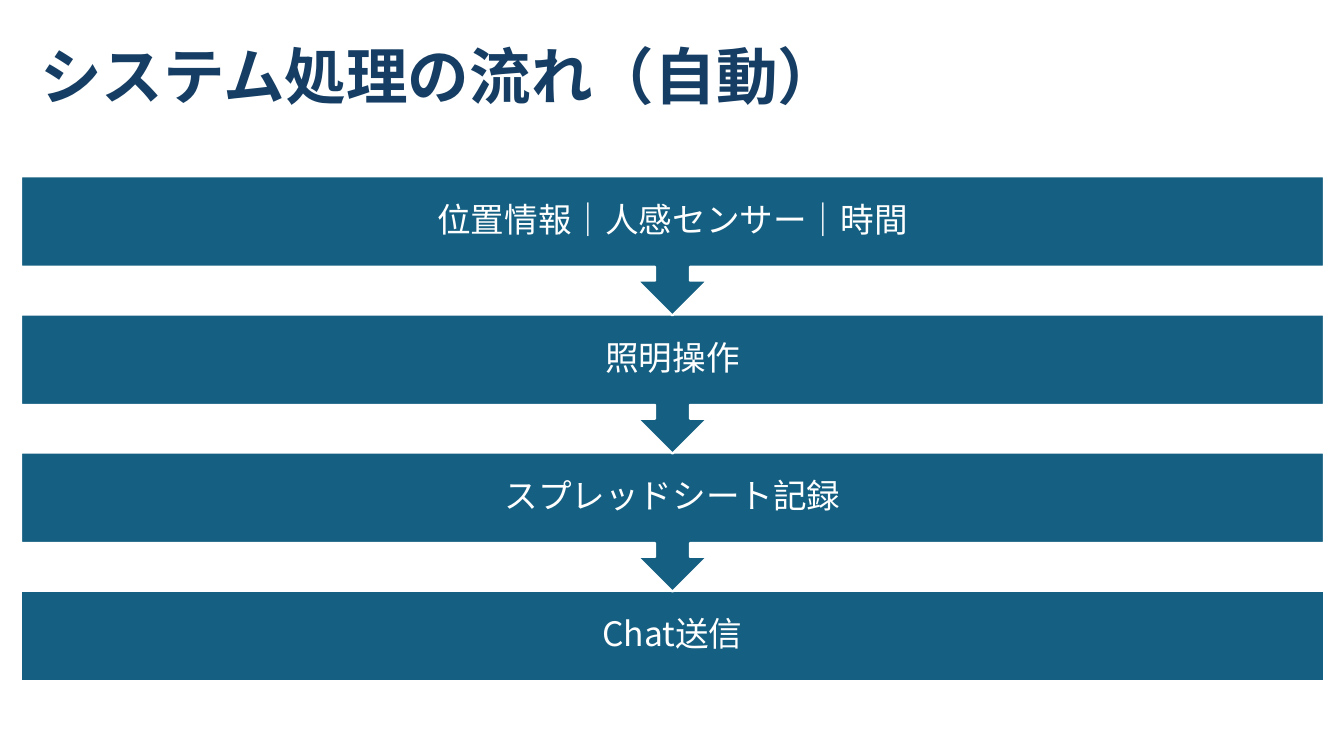
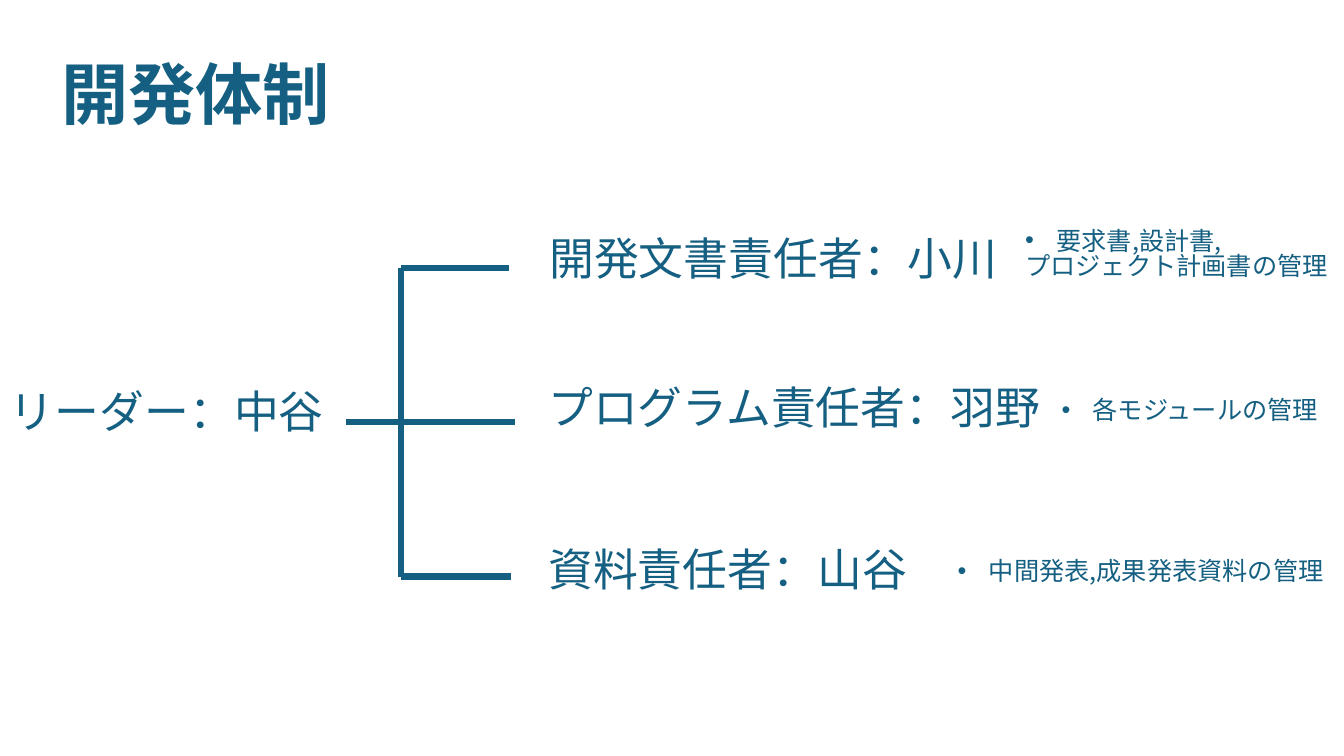
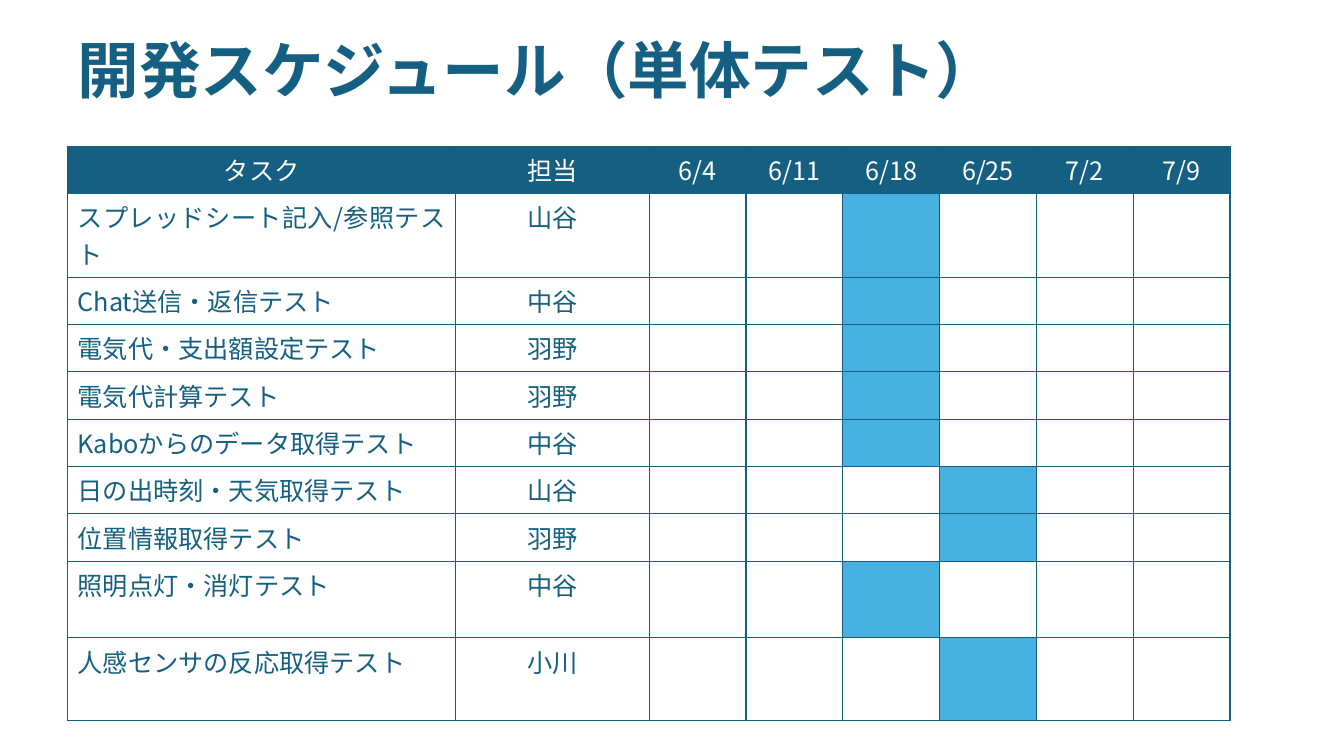
from dataclasses import dataclass

from lxml import etree
from pptx import Presentation
from pptx.dml.color import RGBColor
from pptx.enum.shapes import MSO_CONNECTOR, MSO_SHAPE
from pptx.enum.text import MSO_ANCHOR, PP_ALIGN
from pptx.oxml.ns import qn
from pptx.util import Inches, Pt

STRAIGHT = MSO_CONNECTOR.STRAIGHT
RECT, CALLOUT = MSO_SHAPE.RECTANGLE, MSO_SHAPE.DOWN_ARROW_CALLOUT
TOP, MIDDLE = MSO_ANCHOR.TOP, MSO_ANCHOR.MIDDLE
LEFT, CENTER, JUSTIFY = PP_ALIGN.LEFT, PP_ALIGN.CENTER, PP_ALIGN.JUSTIFY


@dataclass(frozen=True)
class Theme:
    font: str = "Noto Sans CJK JP"
    navy: str = "163E64"
    teal: str = "156082"
    sky: str = "46B1E1"
    white: str = "FFFFFF"
    title: int = 44
    title_large: int = 48
    role: int = 32
    step: int = 24
    small: int = 18


THEME = Theme()

# Content
FLOW_TITLE = "システム処理の流れ（自動）"
FLOW_STEPS = ["位置情報｜人感センサー｜時間", "照明操作", "スプレッドシート記録", "Chat送信"]

TEAM_TITLE = "開発体制"
LEADER = "リーダー：中谷"
# role, role box, branch end, duties, duties box
MEMBERS = [
    ("開発文書責任者：小川", (5.35, 2.32, 4.71, 0.64), 5.05,
     ["要求書,設計書,", "プロジェクト計画書の管理"], (10.07, 2.23, 3.25, 0.71)),
    ("プログラム責任者：羽野", (5.34, 3.8, 5.12, 0.64), 5.11,
     ["各モジュールの管理"], (10.43, 3.91, 2.88, 0.4)),
    ("資料責任者：山谷", (5.34, 5.4, 4.57, 0.64), 5.07,
     ["中間発表,成果発表資料の管理"], (9.4, 5.51, 3.86, 0.4)),
]

SCHEDULE_TITLE = "開発スケジュール（単体テスト）"
DATES = ["6/4", "6/11", "6/18", "6/25", "7/2", "7/9"]
# task, person, date, row height
TASKS = [
    ("スプレッドシート記入/参照テスト", "山谷", "6/18", 0.83),
    ("Chat送信・返信テスト", "中谷", "6/18", 0.47),
    ("電気代・支出額設定テスト", "羽野", "6/18", 0.47),
    ("電気代計算テスト", "羽野", "6/18", 0.47),
    ("Kaboからのデータ取得テスト", "中谷", "6/18", 0.47),
    ("日の出時刻・天気取得テスト", "山谷", "6/25", 0.47),
    ("位置情報取得テスト", "羽野", "6/25", 0.47),
    ("照明点灯・消灯テスト", "中谷", "6/18", 0.76),
    ("人感センサの反応取得テスト", "小川", "6/25", 0.82),
]


# Shared helpers
def rgb(value):
    return RGBColor.from_string(value)


def fill_solid(target, color):
    target.fill.solid()
    target.fill.fore_color.rgb = rgb(color)


def write(paragraph, text, size, color, bold=False, **layout):
    for name, value in layout.items():
        setattr(paragraph, name, value)
    run = paragraph.add_run()
    run.text = text
    for name, value in {"name": THEME.font, "size": Pt(size), "bold": bold}.items():
        setattr(run.font, name, value)
    run.font.color.rgb = rgb(color)
    east_asian = etree.SubElement(run.font._element, qn("a:ea"))
    east_asian.set("typeface", THEME.font)


def add_text(slide, box, lines, size, color, anchor=TOP, **style):
    frame = slide.shapes.add_textbox(*map(Inches, box)).text_frame
    frame.word_wrap = True
    frame.vertical_anchor = anchor
    for i, line in enumerate(lines):
        paragraph = frame.add_paragraph() if i else frame.paragraphs[0]
        write(paragraph, line, size, color, **style)
    return frame


def add_titled_slide(deck, title, left, top, size, color):
    slide = deck.slides.add_slide(deck.slide_layouts[6])
    add_text(slide, (left, top, 11.5, 1.45), [title], size, color, MIDDLE,
             bold=True, line_spacing=0.9)
    return slide


def add_bullet(paragraph):
    properties = paragraph._p.get_or_add_pPr()
    properties.set("marL", str(Inches(0.31)))
    properties.set("indent", str(-Inches(0.31)))
    etree.SubElement(properties, qn("a:buFont")).set("typeface", "Arial")
    etree.SubElement(properties, qn("a:buChar")).set("char", "•")


def add_line(slide, x1, y1, x2, y2):
    line = slide.shapes.add_connector(STRAIGHT, *map(Inches, (x1, y1, x2, y2)))
    line.line.color.rgb = rgb(THEME.teal)
    line.line.width = Pt(4.5)
    etree.SubElement(line._element.spPr, qn("a:effectLst"))


def set_borders(cell):
    properties = cell._tc.get_or_add_tcPr()
    for i, side in enumerate(("lnL", "lnR", "lnT", "lnB")):
        border = etree.Element(qn(f"a:{side}"), w=str(Pt(1)))
        solid = etree.SubElement(border, qn("a:solidFill"))
        etree.SubElement(solid, qn("a:srgbClr")).set("val", THEME.teal)
        properties.insert(i, border)


# Slides
def build_flow(deck):
    slide = add_titled_slide(deck, FLOW_TITLE, 0.3, 0.06, THEME.title, THEME.navy)
    top, pitch, last = 1.75, 1.37, len(FLOW_STEPS) - 1
    # From the bottom up, so each arrow lies over the next step
    for i, step in reversed(list(enumerate(FLOW_STEPS))):
        kind, height = (RECT, 0.9) if i == last else (CALLOUT, 1.38)
        box = slide.shapes.add_shape(
            kind, *map(Inches, (0.21, top + i * pitch, 12.92, height)))
        box.shadow.inherit = False
        fill_solid(box, THEME.teal)
        box.line.color.rgb = rgb(THEME.white)
        box.line.width = Pt(1.5)
        frame = box.text_frame
        frame.vertical_anchor = MIDDLE
        for side in ("left", "right", "top", "bottom"):
            setattr(frame, f"margin_{side}", Inches(0.19))
        write(frame.paragraphs[0], step, THEME.step, THEME.white,
              alignment=CENTER, line_spacing=0.9)


def build_team(deck):
    slide = add_titled_slide(deck, TEAM_TITLE, 0.51, 0.24, THEME.title_large, THEME.teal)
    add_text(slide, (0, 3.84, 3.67, 0.54), [LEADER], THEME.role, THEME.teal,
             line_spacing=0.86)

    # Bracket from the leader to the members
    spine, first, pitch = 3.98, 2.66, 1.53
    add_line(slide, spine, first, spine, first + pitch * (len(MEMBERS) - 1))
    for i, (role, role_box, branch_end, duties, duties_box) in enumerate(MEMBERS):
        y = first + i * pitch
        start = 3.43 if i == 1 else spine
        add_line(slide, start, y, branch_end, y)
        add_text(slide, role_box, [role], THEME.role, THEME.teal, line_spacing=0.86)
        frame = add_text(slide, duties_box, duties, THEME.small, THEME.teal,
                         line_spacing=0.84)
        add_bullet(frame.paragraphs[0])


def build_schedule(deck):
    slide = add_titled_slide(deck, SCHEDULE_TITLE, 0.67, 0, THEME.title, THEME.teal)
    widths = [3.85, 1.92] + [0.96] * len(DATES)
    heights = [0.47] + [task[-1] for task in TASKS]
    rows = [["タスク", "担当", *DATES]]
    rows += [[task, person] + [""] * len(DATES) for task, person, _, _ in TASKS]
    table = slide.shapes.add_table(
        len(rows), len(widths),
        *map(Inches, (0.67, 1.45, sum(widths), sum(heights)))).table
    for column, width in zip(table.columns, widths):
        column.width = Inches(width)
    for r, texts in enumerate(rows):
        table.rows[r].height = Inches(heights[r])
        for c, text in enumerate(texts):
            cell = table.cell(r, c)
            header = r == 0
            planned = not header and c > 1 and DATES[c - 2] == TASKS[r - 1][2]
            fill_solid(cell, THEME.teal if header else THEME.sky if planned else THEME.white)
            set_borders(cell)
            if text:
                write(cell.text_frame.paragraphs[0], text, THEME.small,
                      THEME.white if header else THEME.teal,
                      alignment=JUSTIFY if c == 0 and not header else CENTER)


def main():
    deck = Presentation()
    deck.slide_width, deck.slide_height = Inches(13.33), Inches(7.5)
    for build in (build_flow, build_team, build_schedule):
        build(deck)
    deck.save("out.pptx")


if __name__ == "__main__":
    main()
